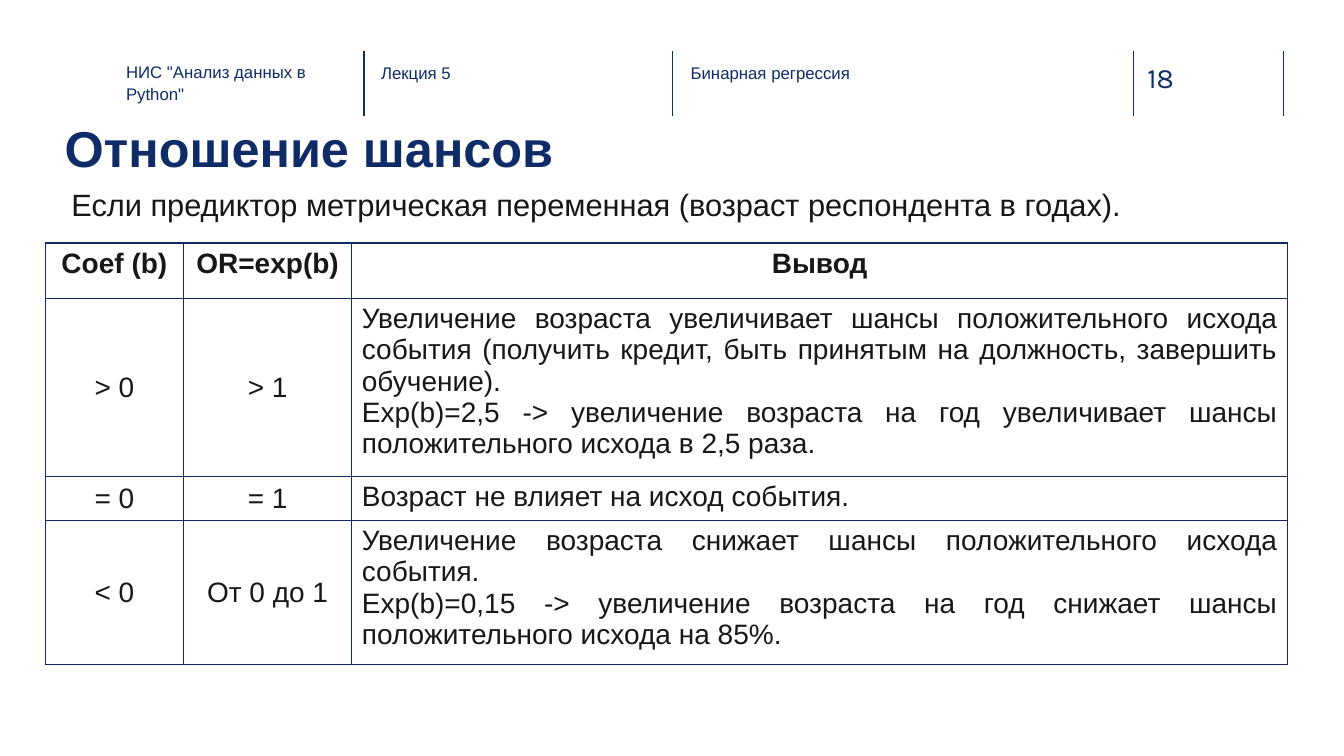
from dataclasses import dataclass

from lxml.etree import SubElement
from pptx import Presentation
from pptx.dml.color import RGBColor
from pptx.enum.shapes import MSO_CONNECTOR
from pptx.enum.text import MSO_ANCHOR, PP_ALIGN
from pptx.oxml.ns import qn
from pptx.slide import Slide
from pptx.table import _Cell
from pptx.text.text import _Paragraph
from pptx.util import Inches, Pt


@dataclass(frozen=True)
class Theme:
    navy: str = "0F2C68"
    rule: str = "102D69"
    ink: str = "181717"
    font: str = "Arial"
    number_font: str = "Karla"
    header: int = 12
    body: int = 20
    intro: int = 22
    title: int = 36
    line: int = 1
    spacing: float = 1.1


THEME = Theme()


@dataclass(frozen=True)
class Label:
    text: str
    left: float
    top: float
    width: float
    height: float
    size: int
    color: str = THEME.navy
    font: str = THEME.font
    bold: bool = False
    spacing: float = THEME.spacing
    align: PP_ALIGN = PP_ALIGN.LEFT
    margin_x: float = 0
    margin_y: float = 0


@dataclass(frozen=True)
class Row:
    height: float
    coefficient: str
    ratio: str
    conclusion: tuple[str, ...]
    align: PP_ALIGN = PP_ALIGN.JUSTIFY
    anchor: MSO_ANCHOR = MSO_ANCHOR.MIDDLE
    bold: bool = False


RULES = (3.61, 6.67, 11.24, 12.73)
RULE_TOP, RULE_BOTTOM = 0.51, 1.15
LABELS = (
    Label("18", 11.38, 0.58, 0.73, 0.34, THEME.body, THEME.rule, THEME.number_font, spacing=1.05),
    Label('НИС "Анализ данных в Python"', 1.25, 0.59, 2.21, 0.45, THEME.header),
    Label("Лекция 5", 3.78, 0.6, 2.26, 0.45, THEME.header),
    Label("Отношение шансов", 0.64, 1.1, 12.09, 0.85, THEME.title, bold=True),
    Label("Бинарная регрессия", 6.85, 0.6, 2.26, 0.45, THEME.header),
    Label("\tЕсли предиктор метрическая переменная (возраст респондента в годах).",
          0.11, 1.76, 11.87, 0.47, THEME.intro, THEME.ink,
          align=PP_ALIGN.JUSTIFY, margin_x=0.1, margin_y=0.05),
)
TABLE_LEFT, TABLE_TOP = 0.45, 2.41
COLUMNS = (1.37, 1.67, 9.28)
ROWS = (
    Row(0.55, "Coef (b)", "OR=exp(b)", ("Вывод",), PP_ALIGN.CENTER, MSO_ANCHOR.TOP, True),
    Row(1.65, "> 0", "> 1", (
        "Увеличение возраста увеличивает шансы положительного исхода события "
        "(получить кредит, быть принятым на должность, завершить обучение).",
        "Exp(b)=2,5 -> увеличение возраста на год увеличивает шансы "
        "положительного исхода в 2,5 раза.")),
    Row(0.41, "= 0", "= 1", ("Возраст не влияет на исход события.",), PP_ALIGN.LEFT),
    Row(1.34, "< 0", "От 0 до 1", (
        "Увеличение возраста снижает шансы положительного исхода события.",
        "Exp(b)=0,15 -> увеличение возраста на год снижает шансы "
        "положительного исхода на 85%.")),
)


def apply_format(target: object, values: dict) -> None:
    for name, value in values.items():
        setattr(target, name, value)


def write(para: _Paragraph, text: str, size: int, color: str, font: str, bold: bool) -> None:
    span = para.add_run()
    span.text = text
    apply_format(span.font, {"size": Pt(size), "name": font, "bold": bold})
    span.font.color.rgb = RGBColor.from_string(color)


def draw_rule(page: Slide, x: float) -> None:
    rule = page.shapes.add_connector(
        MSO_CONNECTOR.STRAIGHT, Inches(x), Inches(RULE_TOP), Inches(x), Inches(RULE_BOTTOM))
    rule.line.color.rgb = RGBColor.from_string(THEME.rule)
    rule.line.width = Pt(THEME.line)
    SubElement(rule._element.spPr, qn("a:effectLst"))


def draw_label(page: Slide, label: Label) -> None:
    box = page.shapes.add_textbox(
        Inches(label.left), Inches(label.top), Inches(label.width), Inches(label.height))
    frame = box.text_frame
    apply_format(frame, {
        "word_wrap": True,
        "margin_left": Inches(label.margin_x), "margin_right": Inches(label.margin_x),
        "margin_top": Inches(label.margin_y), "margin_bottom": Inches(label.margin_y)})
    para = frame.paragraphs[0]
    apply_format(para, {"alignment": label.align, "line_spacing": label.spacing})
    write(para, label.text, label.size, label.color, label.font, label.bold)


def add_borders(cell: _Cell) -> None:
    properties = cell._tc.get_or_add_tcPr()
    for side in ("a:lnL", "a:lnR", "a:lnT", "a:lnB"):
        border = SubElement(properties, qn(side), w=str(Pt(THEME.line)))
        fill = SubElement(border, qn("a:solidFill"))
        SubElement(fill, qn("a:srgbClr"), val=THEME.navy)


def fill_cell(cell: _Cell, texts: tuple[str, ...], align: PP_ALIGN,
              anchor: MSO_ANCHOR, bold: bool) -> None:
    add_borders(cell)
    cell.fill.background()
    cell.vertical_anchor = anchor
    frame = cell.text_frame
    for index, text in enumerate(texts):
        para = frame.add_paragraph() if index else frame.paragraphs[0]
        para.alignment = align
        write(para, text, THEME.body, THEME.ink, THEME.font, bold)


def draw_table(page: Slide) -> None:
    table = page.shapes.add_table(
        len(ROWS), len(COLUMNS), Inches(TABLE_LEFT), Inches(TABLE_TOP),
        Inches(sum(COLUMNS)), Inches(sum(row.height for row in ROWS))).table
    apply_format(table, {"first_row": False, "horz_banding": False})
    for column, width in zip(table.columns, COLUMNS):
        column.width = Inches(width)
    for index, row in enumerate(ROWS):
        table.rows[index].height = Inches(row.height)
        first, second, third = table.rows[index].cells
        fill_cell(first, (row.coefficient,), PP_ALIGN.CENTER, row.anchor, row.bold)
        fill_cell(second, (row.ratio,), PP_ALIGN.CENTER, row.anchor, row.bold)
        fill_cell(third, row.conclusion, row.align, MSO_ANCHOR.TOP, row.bold)


def main() -> None:
    deck = Presentation()
    apply_format(deck, {"slide_width": Inches(13.33), "slide_height": Inches(7.5)})
    page = deck.slides.add_slide(deck.slide_layouts[6])
    for x in RULES:
        draw_rule(page, x)
    for label in LABELS:
        draw_label(page, label)
    draw_table(page)
    deck.save("out.pptx")


if __name__ == "__main__":
    main()
